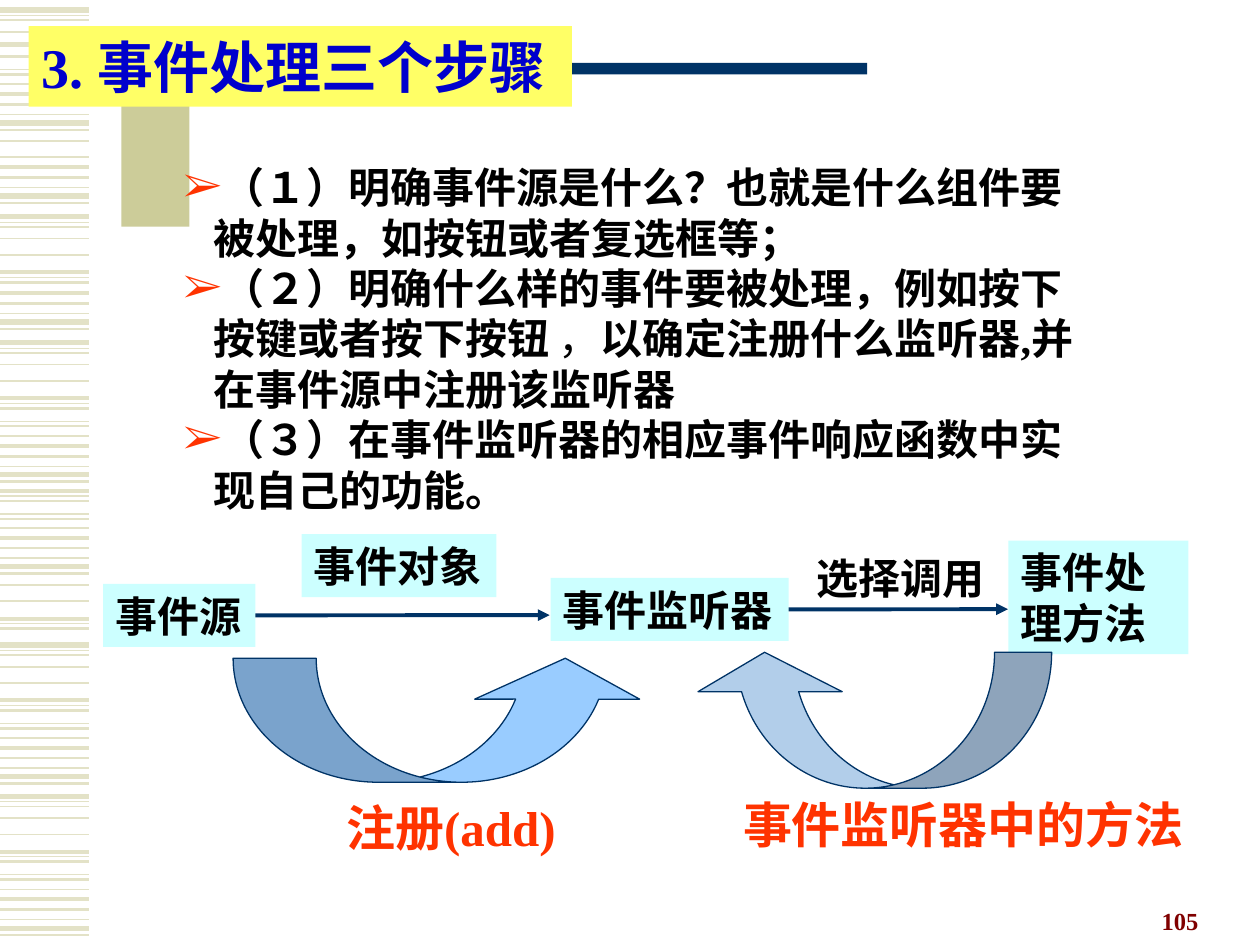
from lxml import etree
from pptx import Presentation
from pptx.dml.color import RGBColor
from pptx.enum import shapes, text
from pptx.oxml import ns
from pptx.util import Cm, Pt

FONT = "Times New Roman"
STRIPE = RGBColor(0xE3, 0xE2, 0xC7)
KHAKI = RGBColor(0xCC, 0xCC, 0x99)
NAVY = RGBColor(0x00, 0x33, 0x66)
YELLOW = RGBColor(0xFF, 0xFF, 0x66)
BLUE = RGBColor(0x00, 0x00, 0xCC)
BLACK = RGBColor(0x00, 0x00, 0x00)
ORANGE = RGBColor(0xFF, 0x33, 0x00)
CYAN = RGBColor(0xCC, 0xFF, 0xFF)
SKY = RGBColor(0x99, 0xCC, 0xFF)
PALE = RGBColor(0xB2, 0xCE, 0xEA)
MAROON = RGBColor(0x80, 0x00, 0x00)

UPPER_BAND = [(-0.61, 1), (-0.41, 2.25), (-0.2, 1.5), (0, 0.75), (0.17, 3), (0.31, 1.5)]
LOWER_BAND = [(0, 1.5), (0.1, 0.75), (0.36, 1.5), (0.46, 0.75), (0.56, 2.25),
              (0.91, 1), (1.24, 1), (1.47, 1), (1.57, 0.75), (1.68, 3)]
UPPER_STARTS = [(18.54, 0), (15.48, 0), (11.25, 0), (9.4, 0), (6.32, 1), (3.78, 0), (2.31, 0)]
LOWER_STARTS = [(17.73, 0, 10), (14.68, 0, 10), (13.03, 2, 7), (10.46, 0, 5),
                (8.59, 0, 10), (6.05, 2, 10), (1.5, 0, 3), (1.88, 6, 10)]
LONE_STRIPES = [(2.84, 1), (0.89, 3)]

STEPS = [
    [("（１）明确事件源是什么？也就是什么组件要被处理，如按钮或者复选框等；", True)],
    [("（２）明确什么样的事件要被处理，例如按下按键或者按下按钮", True), (" ，", False),
     ("以确定注册什么监听器,并在事件源中注册该监听器", True)],
    [("（３）在事件监听器的相应事件响应函数中实现自己的功能。", True)],
]


def add_line(slide, x1, y1, x2, y2, color, width):
    line = slide.shapes.add_connector(
        shapes.MSO_CONNECTOR.STRAIGHT, Cm(x1), Cm(y1), Cm(x2), Cm(y2))
    line.line.color.rgb = color
    line.line.width = Pt(width)
    etree.SubElement(line._element.spPr, ns.qn("a:effectLst"))
    return line


def add_filled(slide, kind, x, y, w, h, color):
    shape = slide.shapes.add_shape(kind, Cm(x), Cm(y), Cm(w), Cm(h))
    shape.shadow.inherit = False
    shape.fill.solid()
    shape.fill.fore_color.rgb = color
    shape.line.fill.background()
    return shape


def style(paragraph, size, color):
    paragraph.font.name = FONT
    paragraph.font.size = Pt(size)
    paragraph.font.color.rgb = color


def add_label(slide, words, x, y, w, h, size, color, fill=None, wrap=False):
    label = slide.shapes.add_textbox(Cm(x), Cm(y), Cm(w), Cm(h))
    if fill is not None:
        label.fill.solid()
        label.fill.fore_color.rgb = fill
    frame = label.text_frame
    frame.word_wrap = wrap
    frame.auto_size = text.MSO_AUTO_SIZE.SHAPE_TO_FIT_TEXT
    paragraph = frame.paragraphs[0]
    paragraph.text = words
    style(paragraph, size, color)
    paragraph.font.bold = True
    return label


def draw_stripes(slide, left, top, width):
    stripes = list(LONE_STRIPES)
    for start, first in UPPER_STARTS:
        stripes += [(start + step, weight) for step, weight in UPPER_BAND[first:]]
    for start, first, last in LOWER_STARTS:
        stripes += [(start - step, weight) for step, weight in LOWER_BAND[first:last]]
    for y, weight in stripes:
        add_line(slide, left, top + y, left + width, top + y, STRIPE, weight)


def draw_heading(slide, left, top):
    rectangle = shapes.MSO_SHAPE.RECTANGLE
    add_filled(slide, rectangle, left + 1.87, top, 1.37, 4.04, KHAKI)
    add_filled(slide, rectangle, left + 1.18, top + 0.74, 15.72, 0.23, NAVY)
    add_label(slide, "3. 事件处理三个步骤", left, top, 10.95, 1.62, 32, BLUE, YELLOW)


def draw_steps(slide, left, top, width, height):
    frame = slide.shapes.add_textbox(Cm(left), Cm(top), Cm(width), Cm(height)).text_frame
    frame.word_wrap = True
    frame.vertical_anchor = text.MSO_ANCHOR.MIDDLE
    for index, step in enumerate(STEPS):
        paragraph = frame.add_paragraph() if index else frame.paragraphs[0]
        props = paragraph._p.get_or_add_pPr()
        props.set("marL", str(Cm(0.6)))
        props.set("indent", str(Cm(-0.6)))
        bullet_color = etree.SubElement(props, ns.qn("a:buClr"))
        etree.SubElement(bullet_color, ns.qn("a:srgbClr"), val=str(ORANGE))
        etree.SubElement(props, ns.qn("a:buFont"), typeface=FONT)
        etree.SubElement(props, ns.qn("a:buChar"), char="➢")
        style(paragraph, 24, BLACK)
        for words, bold in step:
            run = paragraph.add_run()
            run.text = words
            run.font.bold = bold


def add_flow_arrow(slide, origin, x, y):
    arrow = add_line(slide, x - 1, y, x, y, NAVY, 2.25)
    arrow.begin_connect(origin, 3)
    etree.SubElement(arrow.line._get_or_add_ln(), ns.qn("a:tailEnd"), type="triangle")


def add_curved_arrow(slide, kind, x, y, w, h, color, adjustments):
    arrow = add_filled(slide, kind, x, y, w, h, color)
    arrow.line.color.rgb = NAVY
    arrow.line.width = Pt(0.75)
    for index, value in enumerate(adjustments):
        arrow.adjustments[index] = value
    return arrow


def draw_flow(slide, left, top):
    def node(words, x, y, w, h=1.27, fill=CYAN, wrap=False):
        return add_label(slide, words, left + x, top + y, w, h, 24, BLACK, fill, wrap)

    source = node("事件源", 0, 1, 3.07)
    add_flow_arrow(slide, source, left + 9, top + 1.63)
    node("事件对象", 4, 0, 3.93)
    listener = node("事件监听器", 9.02, 0.88, 4.8)
    add_flow_arrow(slide, listener, left + 18.24, top + 1.51)
    node("选择调用", 14.13, 0.25, 3.93, fill=None)
    node("事件处理方法", 18.25, 0.13, 3.63, 2.29, wrap=True)

    add_curved_arrow(slide, shapes.MSO_SHAPE.CURVED_UP_ARROW, left + 2.62, top + 2.5,
                     8.36, 2.5, SKY, (0.67, 1.33, 0.33))
    add_label(slide, "注册(add)", left + 4.65, top + 5.18, 5.4, 1.45, 28, ORANGE)
    callback = add_curved_arrow(slide, shapes.MSO_SHAPE.CURVED_LEFT_ARROW, left + 14.13,
                                top + 0.13, 2.74, 7.24, PALE, (0.42, 1.06, 0.29))
    callback.rotation = 90
    add_label(slide, "事件监听器中的方法", left + 12.65, top + 5.13, 9.6, 1.45, 28, ORANGE)


def draw_page_number(slide, left, top, width, height):
    number = add_label(slide, "105", left, top, width, height, 14, MAROON, wrap=True)
    number.text_frame.auto_size = text.MSO_AUTO_SIZE.NONE
    number.text_frame.vertical_anchor = text.MSO_ANCHOR.BOTTOM
    number.text_frame.paragraphs[0].alignment = text.PP_ALIGN.RIGHT


def main():
    deck = Presentation()
    deck.slide_width, deck.slide_height = Cm(25.4), Cm(19.05)
    slide = deck.slides.add_slide(deck.slide_layouts[6])
    draw_stripes(slide, 0, 0, 1.8)
    draw_heading(slide, 0.58, 0.53)
    draw_steps(slide, 3.45, 3.13, 18.87, 7.37)
    draw_flow(slide, 2.08, 10.77)
    draw_page_number(slide, 18.31, 17.72, 6.1, 1.27)
    deck.save("out.pptx")


if __name__ == "__main__":
    main()
